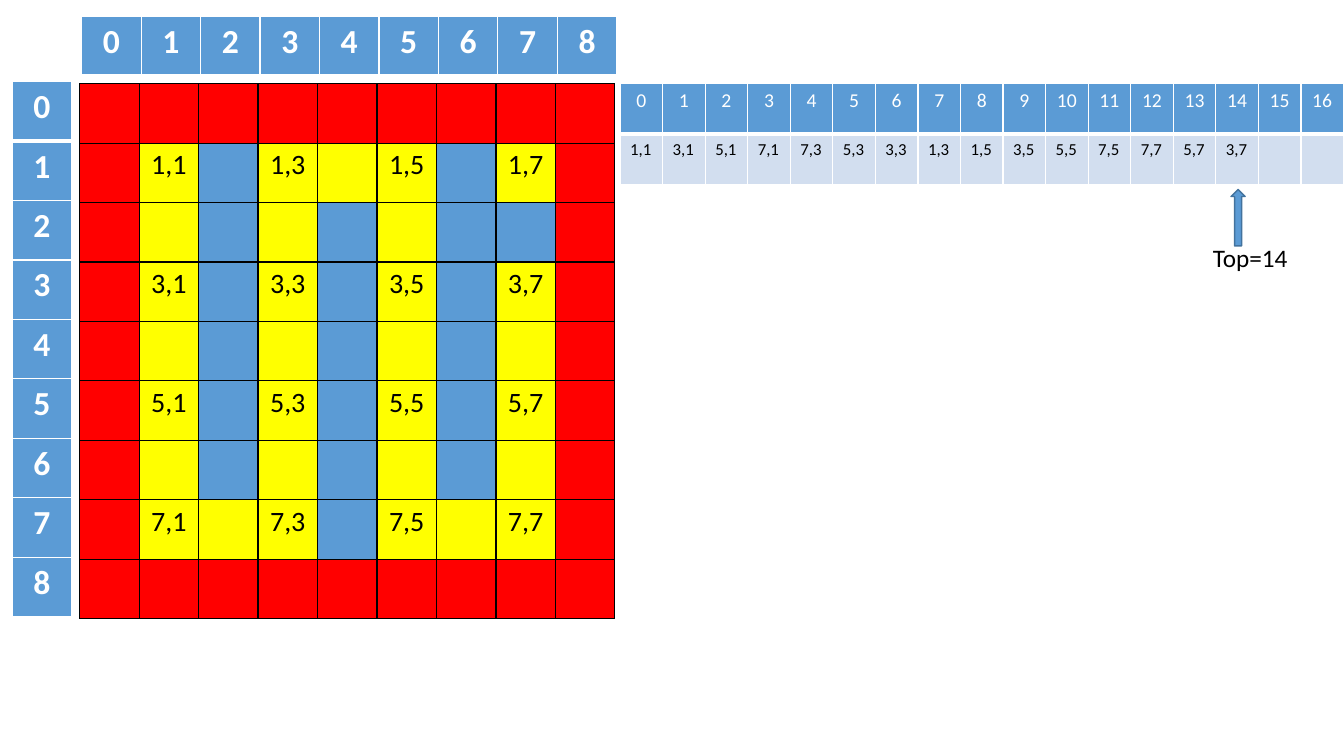
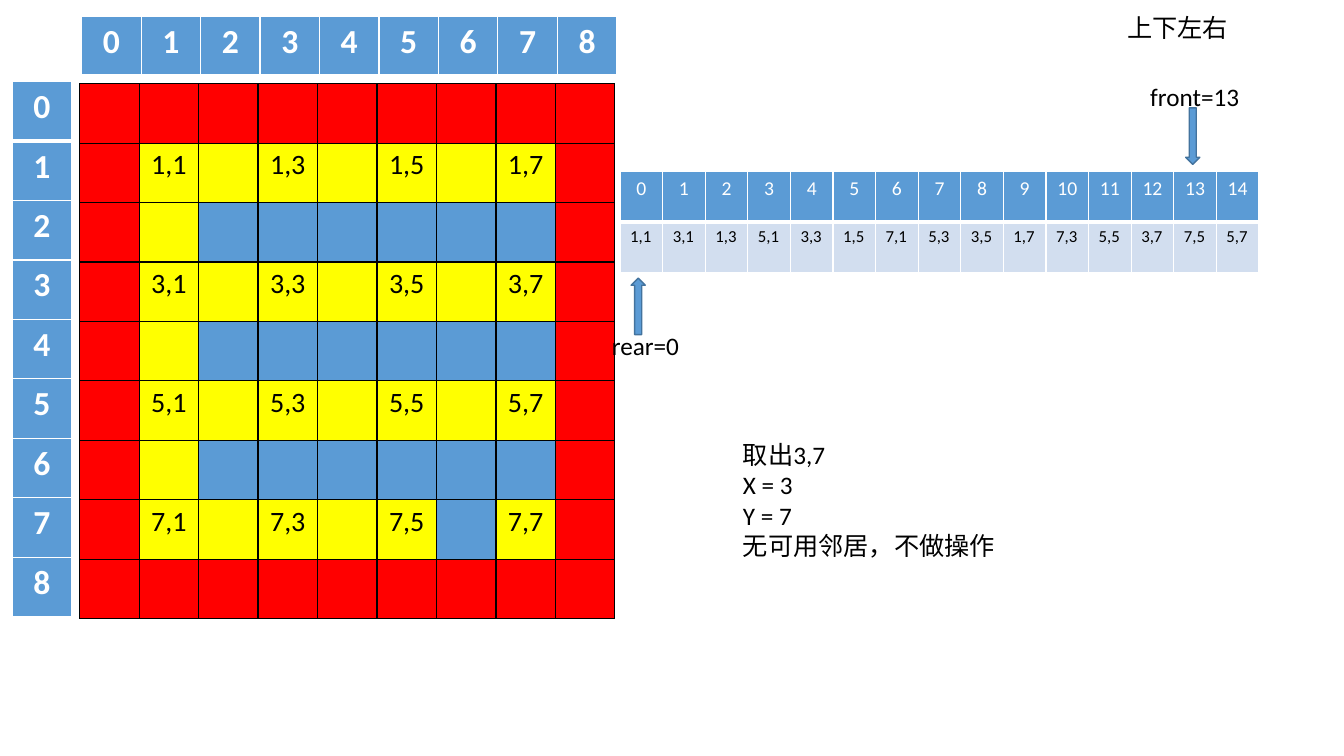
from dataclasses import dataclass

from lxml import etree
from pptx import Presentation
from pptx.dml.color import RGBColor
from pptx.enum import shapes, text
from pptx.oxml import ns
from pptx.util import Inches, Pt


@dataclass(frozen=True)
class Theme:
    """Colours, type sizes and line widths shared by the slides."""
    font: str = "Calibri"
    blue: str = "5B9BD5"
    pale: str = "D2DEEF"
    outline: str = "43739E"
    red: str = "FF0000"
    yellow: str = "FFFF00"
    black: str = "000000"
    white: str = "FFFFFF"
    index_size: int = 24
    maze_size: int = 20
    label_size: int = 18
    head_size: int = 14
    entry_size: int = 12
    thin: int = 1
    thick: int = 3


THEME = Theme()

# In the mazes: # border, . open cell, x inner wall.
SLIDES = [
    {
        "maze": ["#########", "#.x...x.#", "#.x.x.xx#", "#.x.x.x.#", "#.x.x.x.#",
                 "#.x.x.x.#", "#.x.x.x.#", "#...x...#", "#########"],
        "entries": ["1,1", "3,1", "5,1", "7,1", "7,3", "5,3", "3,3", "1,3", "1,5",
                    "3,5", "5,5", "7,5", "7,7", "5,7", "3,7", "", ""],
        "list_top": 0.83,
        "list_width": 7.18,
        "arrows": [(12.21, 1.88, 0)],
        "labels": [(11.93, 2.35, 0.95, 0.4, ["Top=14"])],
    },
    {
        "maze": ["#########", "#.......#", "#.xxxxxx#", "#.......#", "#.xxxxxx#",
                 "#.......#", "#.xxxxxx#", "#.....x.#", "#########"],
        "entries": ["1,1", "3,1", "1,3", "5,1", "3,3", "1,5", "7,1", "5,3", "3,5",
                    "1,7", "7,3", "5,5", "3,7", "7,5", "5,7"],
        "list_top": 1.7,
        "list_width": 6.34,
        "arrows": [(11.76, 1.07, 180), (6.26, 2.76, 0)],
        "labels": [
            (11.31, 0.76, 1.09, 0.4, ["front=13"]),
            (5.97, 3.23, 0.88, 0.4, ["rear=0"]),
            (7.27, 4.31, 2.73, 1.31, ["取出3,7", "X = 3", "Y = 7", "无可用邻居，不做操作"]),
            (11.08, 0.07, 1.21, 0.4, ["上下左右"]),
        ],
    },
]

CELL = 0.59
COUNT = 9
LIST_ROW = 0.5
LIST_LEFT = 6.15
ARROW_SIZE = (0.14, 0.56)
MAZE_FILLS = {"#": THEME.red, ".": THEME.yellow, "x": THEME.blue}

MAZE_STYLE = {"size": THEME.maze_size, "color": THEME.black}
INDEX_STYLE = {"size": THEME.index_size, "color": THEME.white, "bold": True}
HEAD_STYLE = {"size": THEME.head_size, "color": THEME.white}
ENTRY_STYLE = {"size": THEME.entry_size, "color": THEME.black, "align": text.PP_ALIGN.LEFT}
LABEL_STYLE = {"size": THEME.label_size, "color": THEME.black, "align": text.PP_ALIGN.LEFT}


def write(para, words, size, color, bold=False, align=text.PP_ALIGN.CENTER):
    """Put one formatted run into a paragraph."""
    para.alignment = align
    span = para.add_run()
    span.text = words
    for name, value in {"name": THEME.font, "size": Pt(size), "bold": bold}.items():
        setattr(span.font, name, value)
    span.font.color.rgb = RGBColor.from_string(color)


def border(cell, color, top, bottom):
    """Draw the four edges of a cell; top and bottom are widths in points."""
    properties = cell._tc.get_or_add_tcPr()
    for side, width in {"L": THEME.thin, "R": THEME.thin, "T": top, "B": bottom}.items():
        line = etree.SubElement(properties, ns.qn("a:ln" + side), w=str(Pt(width)))
        fill = etree.SubElement(line, ns.qn("a:solidFill"))
        etree.SubElement(fill, ns.qn("a:srgbClr"), val=color)


def add_grid(page, left, top, column, row, cells, edge=THEME.white, head=True):
    """Add a table of (words, fill, style) cells with equal columns and rows."""
    rows, columns = len(cells), len(cells[0])
    table = page.shapes.add_table(
        rows, columns, Inches(left), Inches(top),
        Inches(column * columns), Inches(row * rows)).table
    for name in ("first_row", "horz_banding"):
        setattr(table, name, False)
    for item in table.columns:
        item.width = Inches(column)
    for item in table.rows:
        item.height = Inches(row)
    for r, line in enumerate(cells):
        for c, (words, fill, style) in enumerate(line):
            cell = table.cell(r, c)
            border(cell, edge,
                   THEME.thick if head and r == 1 else THEME.thin,
                   THEME.thick if head and r == 0 else THEME.thin)
            cell.fill.solid()
            cell.fill.fore_color.rgb = RGBColor.from_string(fill)
            if words:
                write(cell.text_frame.paragraphs[0], words, **style)


def add_maze(page, maze):
    """Add the maze, naming the rooms at odd coordinates, and its two rulers."""
    cells = [[(f"{r},{c}" if r % 2 and c % 2 else "", MAZE_FILLS[mark], MAZE_STYLE)
              for c, mark in enumerate(line)] for r, line in enumerate(maze)]
    add_grid(page, 0.79, 0.83, CELL, CELL, cells, THEME.black, head=False)
    ruler = [(str(n), THEME.blue, INDEX_STYLE) for n in range(COUNT)]
    add_grid(page, 0.81, 0.16, CELL, CELL, [ruler])
    add_grid(page, 0.12, 0.81, CELL, CELL, [[mark] for mark in ruler])


def add_list(page, entries, top, width):
    """Add the numbered list of visited rooms."""
    head = [(str(n), THEME.blue, HEAD_STYLE) for n in range(len(entries))]
    body = [(entry, THEME.pale, ENTRY_STYLE) for entry in entries]
    add_grid(page, LIST_LEFT, top, width / len(entries), LIST_ROW, [head, body])


def add_arrow(page, left, top, rotation):
    """Add a block arrow that points at a list position."""
    arrow = page.shapes.add_shape(
        shapes.MSO_SHAPE.UP_ARROW, *map(Inches, (left, top, *ARROW_SIZE)))
    arrow.rotation = rotation
    arrow.shadow.inherit = False
    arrow.fill.solid()
    arrow.fill.fore_color.rgb = RGBColor.from_string(THEME.blue)
    arrow.line.color.rgb = RGBColor.from_string(THEME.outline)
    arrow.line.width = Pt(THEME.thin)


def add_label(page, left, top, width, height, lines):
    """Add a text box with one paragraph per line."""
    frame = page.shapes.add_textbox(*map(Inches, (left, top, width, height))).text_frame
    for name, value in {"word_wrap": False,
                        "auto_size": text.MSO_AUTO_SIZE.SHAPE_TO_FIT_TEXT}.items():
        setattr(frame, name, value)
    for n, line in enumerate(lines):
        para = frame.add_paragraph() if n else frame.paragraphs[0]
        write(para, line, **LABEL_STYLE)


def build():
    """Build and save the deck."""
    deck = Presentation()
    deck.slide_width, deck.slide_height = Inches(13.33), Inches(7.5)
    for content in SLIDES:
        page = deck.slides.add_slide(deck.slide_layouts[6])
        add_maze(page, content["maze"])
        add_list(page, content["entries"], content["list_top"], content["list_width"])
        for arrow in content["arrows"]:
            add_arrow(page, *arrow)
        for label in content["labels"]:
            add_label(page, *label)
    deck.save("out.pptx")


build()
